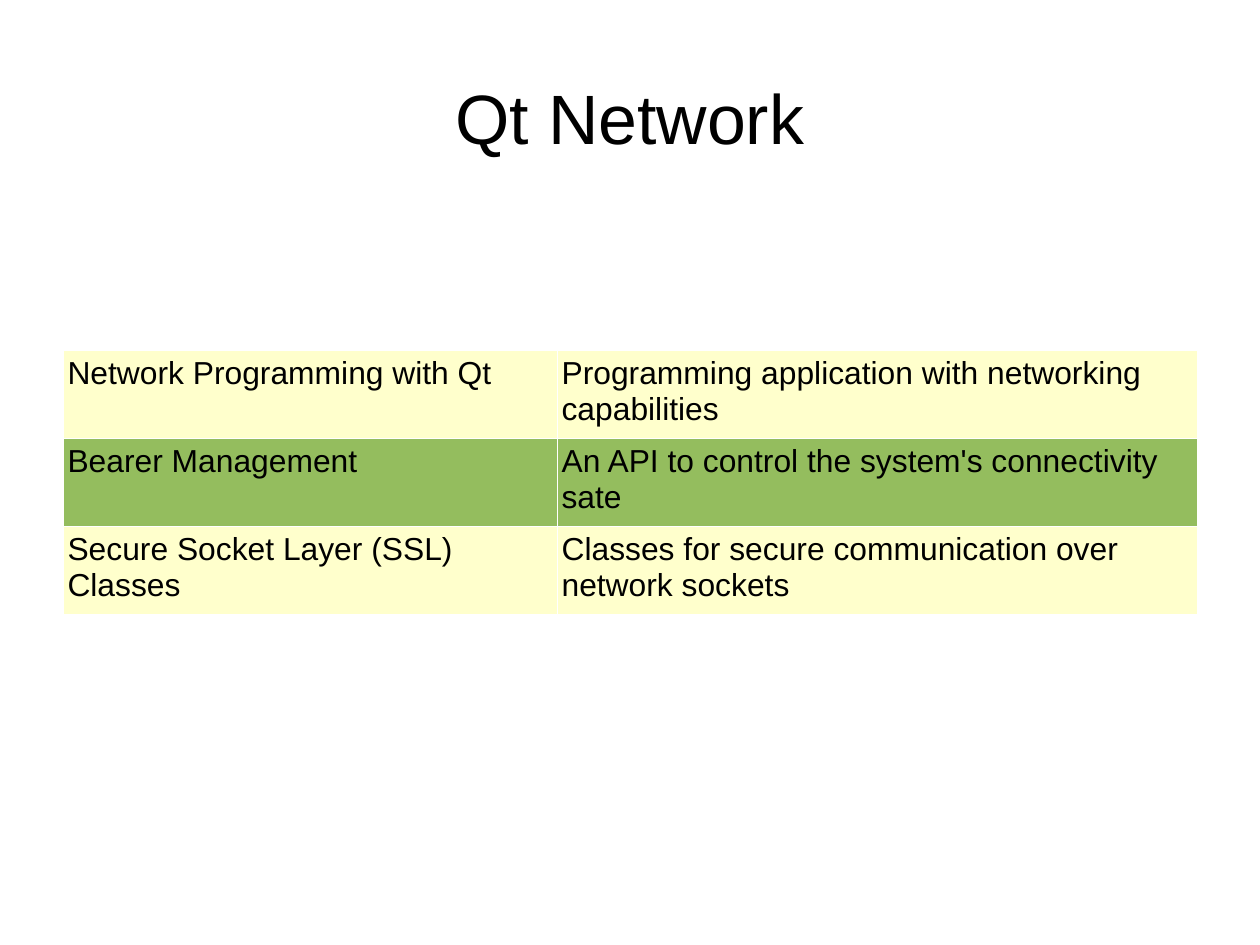
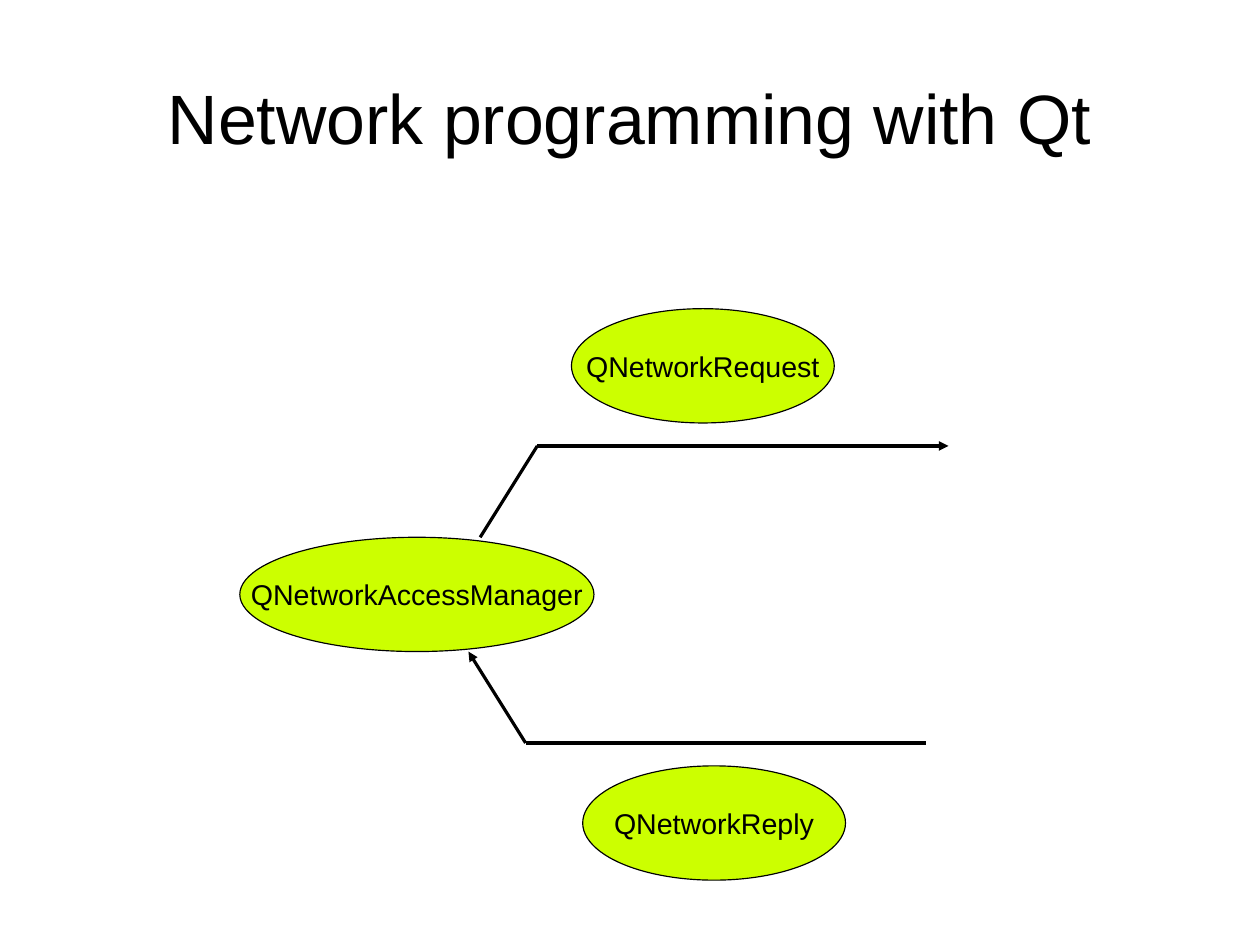
from lxml.etree import SubElement
from pptx import Presentation
from pptx.dml.color import RGBColor
from pptx.enum.shapes import MSO_CONNECTOR, MSO_SHAPE
from pptx.enum.text import MSO_ANCHOR, PP_ALIGN
from pptx.oxml.ns import qn
from pptx.util import Cm, Pt

FONT = "Arial"
BLACK = RGBColor(0x00, 0x00, 0x00)
CREAM = RGBColor(0xFF, 0xFF, 0xCC)
GREEN = RGBColor(0x94, 0xBD, 0x5E)
LIME = RGBColor(0xCC, 0xFF, 0x00)

MARGIN = 1.4
CONTENT_WIDTH = 25.2

MODULES = [
    ("Network Programming with Qt", "Programming application with networking capabilities"),
    ("Bearer Management", "An API to control the system's connectivity sate"),
    ("Secure Socket Layer (SSL) Classes", "Classes for secure communication over network sockets"),
]
NAME_WIDTH = 10.98
ROW_HEIGHT = 1.83
TABLE_TOP = 7.78

CLASSES = [
    ("QNetworkRequest", 12.7, 5.84),
    ("QNetworkAccessManager", 5.33, 7.87),
    ("QNetworkReply", 12.95, 5.84),
]
CLASS_TOP = 6.86
CLASS_STEP = 5.08
CLASS_HEIGHT = 2.54

ROUTES = [
    [(10.67, 11.94), (11.94, 9.91), (21.08, 9.91)],
    [(20.57, 16.51), (11.68, 16.51), (10.41, 14.48)],
]


def write(frame, text, size, align=PP_ALIGN.LEFT, anchor=MSO_ANCHOR.MIDDLE, wrap=True, inset=(0, 0)):
    frame.word_wrap = wrap
    frame.vertical_anchor = anchor
    frame.margin_left = frame.margin_right = Cm(inset[0])
    frame.margin_top = frame.margin_bottom = Cm(inset[1])
    format_paragraph(frame.paragraphs[0], text, size, align)


def format_paragraph(para, text, size, align):
    para.alignment = align
    span = para.add_run()
    span.text = text
    span.font.name = FONT
    span.font.size = Pt(size)
    span.font.color.rgb = BLACK


def add_page(deck, title):
    page = deck.slides.add_slide(deck.slide_layouts[6])
    box = page.shapes.add_textbox(Cm(MARGIN), Cm(0.84), Cm(CONTENT_WIDTH), Cm(3.5))
    write(box.text_frame, title, 44, align=PP_ALIGN.CENTER)
    return page


def add_borders(cell):
    properties = cell._tc.get_or_add_tcPr()
    for side in ("a:lnL", "a:lnR", "a:lnT", "a:lnB"):
        border = SubElement(properties, qn(side), w=str(Pt(0.57)))
        fill = SubElement(border, qn("a:solidFill"))
        SubElement(fill, qn("a:srgbClr"), val="FFFFFF")


def add_module_table(page):
    table = page.shapes.add_table(
        len(MODULES), 2, Cm(MARGIN), Cm(TABLE_TOP), Cm(CONTENT_WIDTH), Cm(ROW_HEIGHT * len(MODULES))
    ).table
    table.first_row = table.horz_banding = False
    for column, width in zip(table.columns, (NAME_WIDTH, CONTENT_WIDTH - NAME_WIDTH)):
        column.width = Cm(width)
    for index, texts in enumerate(MODULES):
        for cell, text in zip(table.rows[index].cells, texts):
            cell.margin_left = cell.margin_right = Cm(0.1)
            cell.margin_top = cell.margin_bottom = Cm(0.13)
            add_borders(cell)
            cell.fill.solid()
            cell.fill.fore_color.rgb = GREEN if index % 2 else CREAM
            format_paragraph(cell.text_frame.paragraphs[0], text, 20, PP_ALIGN.LEFT)


def add_class(page, name, left, top, width):
    ellipse = page.shapes.add_shape(MSO_SHAPE.OVAL, Cm(left), Cm(top), Cm(width), Cm(CLASS_HEIGHT))
    ellipse.shadow.inherit = False
    ellipse.fill.solid()
    ellipse.fill.fore_color.rgb = LIME
    ellipse.line.color.rgb = BLACK
    ellipse.line.width = Pt(0)
    write(ellipse.text_frame, name, 18, align=PP_ALIGN.CENTER, wrap=False, inset=(0.25, 0.13))


def add_line(page, start, end, arrow):
    line = page.shapes.add_connector(MSO_CONNECTOR.STRAIGHT, *(Cm(value) for value in start + end))
    line.line.color.rgb = BLACK
    line.line.width = Pt(0)
    if arrow:
        SubElement(line.line._get_or_add_ln(), qn("a:tailEnd"), type="triangle")
    SubElement(line._element.spPr, qn("a:effectLst"))


def main():
    deck = Presentation()
    deck.slide_width, deck.slide_height = Cm(28), Cm(21)

    add_module_table(add_page(deck, "Qt Network"))

    page = add_page(deck, "Network programming with Qt")
    for index, (name, left, width) in enumerate(CLASSES):
        add_class(page, name, left, CLASS_TOP + index * CLASS_STEP, width)
    for start, bend, end in ROUTES:
        add_line(page, start, bend, arrow=False)
        add_line(page, bend, end, arrow=True)

    deck.save("out.pptx")


if __name__ == "__main__":
    main()
